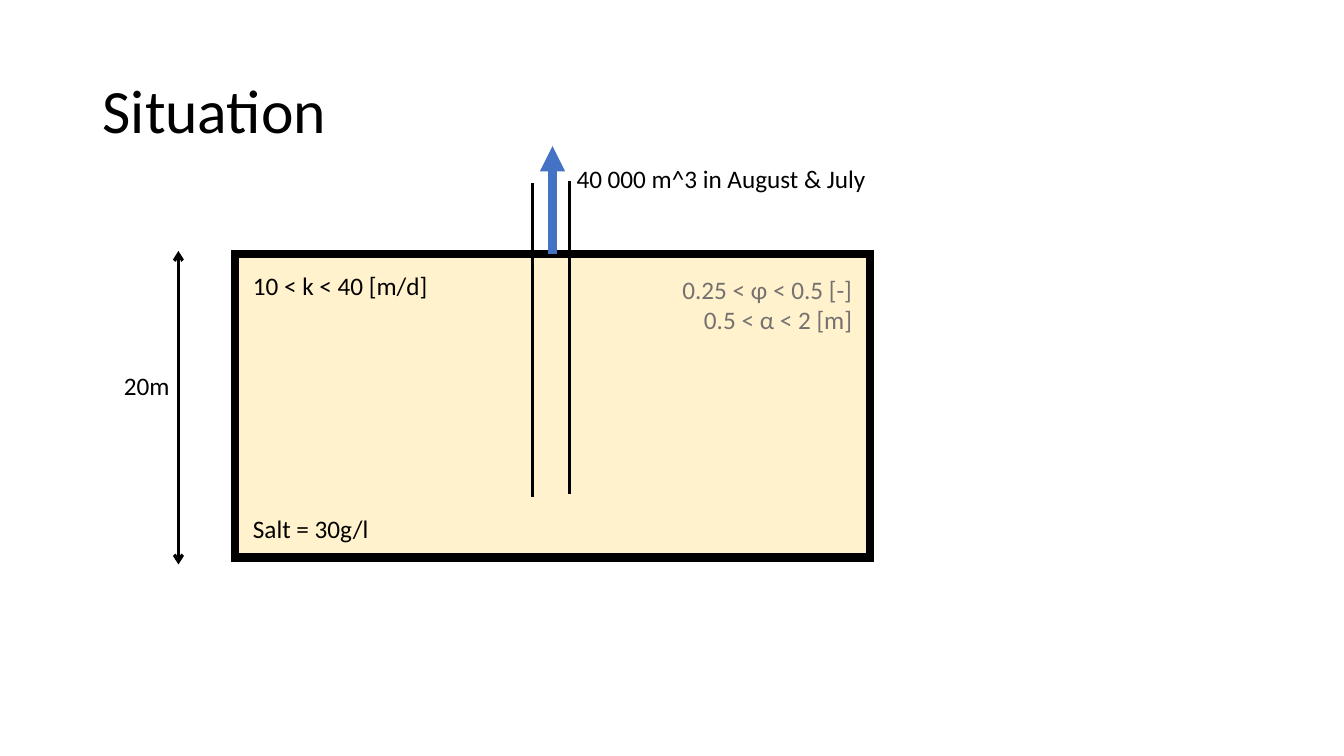
from dataclasses import dataclass

from lxml import etree
from pptx import Presentation
from pptx.dml.color import RGBColor
from pptx.enum.shapes import MSO_CONNECTOR, MSO_SHAPE
from pptx.enum.text import MSO_ANCHOR, MSO_AUTO_SIZE, PP_ALIGN
from pptx.oxml.ns import qn
from pptx.shapes.autoshape import Shape
from pptx.shapes.connector import Connector
from pptx.slide import Slide
from pptx.util import Inches, Pt

RECTANGLE = MSO_SHAPE.RECTANGLE
STRAIGHT = MSO_CONNECTOR.STRAIGHT
TOP, MIDDLE = MSO_ANCHOR.TOP, MSO_ANCHOR.MIDDLE
GROW, FIXED = MSO_AUTO_SIZE.SHAPE_TO_FIT_TEXT, MSO_AUTO_SIZE.NONE
LEFT, RIGHT = PP_ALIGN.LEFT, PP_ALIGN.RIGHT
TOP_SITE = 0
FONT = "Calibri"
COLORS = {
    "ink": "000000",
    "sand": "FFF2CC",
    "water": "4472C4",
    "muted": "767171",
}


@dataclass(frozen=True)
class Label:
    lines: tuple[str, ...]
    left: float
    top: float
    width: float
    height: float = 0.4
    size: int = 18
    color: str = "ink"
    align: PP_ALIGN = LEFT
    anchor: MSO_ANCHOR = TOP
    fit: MSO_AUTO_SIZE = GROW
    spacing: float = 1.0


@dataclass(frozen=True)
class Line:
    start: tuple[float, float]
    end: tuple[float, float]
    color: str = "ink"
    weight: float = 2.25
    head: str = ""
    tail: str = ""


LABELS = (
    Label(("Situation",), 0.92, 0.4, 11.5, 1.45, size=44, anchor=MIDDLE, fit=FIXED, spacing=0.9),
    Label(("20m",), 1.13, 3.62, 0.84),
    Label(("10 < k < 40 [m/d]",), 2.41, 2.63, 2.2),
    Label(("Salt = 30g/l",), 2.41, 5.04, 1.92),
    Label(("40 000 m^3 in August & July",), 5.62, 1.57, 3.57),
    Label(("0.25 < φ < 0.5 [-]", "0.5 < α < 2 [m]"), 6.63, 2.67, 1.92, 0.71,
          color="muted", align=RIGHT),
)
DEPTH_ARROW = Line((1.77, 2.49), (1.77, 5.6), head="arrow", tail="arrow")
PUMP_ARROW = Line((5.48, 2.52), (5.48, 1.45), color="water", weight=6, tail="triangle")
WELL_WALLS = (
    Line((5.28, 1.82), (5.28, 4.93)),
    Line((5.65, 1.8), (5.65, 4.9)),
)


def rgb(name: str) -> RGBColor:
    return RGBColor.from_string(COLORS[name])


def add_aquifer(page: Slide) -> Shape:
    box = page.shapes.add_shape(RECTANGLE, Inches(2.33), Inches(2.52), Inches(6.3), Inches(3.01))
    box.shadow.inherit = False
    box.fill.solid()
    box.fill.fore_color.rgb = rgb("sand")
    box.line.color.rgb = rgb("ink")
    box.line.width = Pt(6)
    outline = box.line._get_or_add_ln()
    etree.SubElement(outline, qn("a:miter"), lim="800000")
    return box


def add_line(page: Slide, line: Line) -> Connector:
    points = [Inches(value) for value in (*line.start, *line.end)]
    connector = page.shapes.add_connector(STRAIGHT, *points)
    connector.line.color.rgb = rgb(line.color)
    connector.line.width = Pt(line.weight)
    outline = connector.line._get_or_add_ln()
    for tag, kind in (("a:headEnd", line.head), ("a:tailEnd", line.tail)):
        if kind:
            etree.SubElement(outline, qn(tag), type=kind)
    etree.SubElement(connector._element.spPr, qn("a:effectLst"))
    return connector


def add_label(page: Slide, label: Label) -> None:
    box = page.shapes.add_textbox(
        Inches(label.left), Inches(label.top), Inches(label.width), Inches(label.height)
    )
    frame = box.text_frame
    frame.word_wrap = True
    frame.auto_size = label.fit
    frame.vertical_anchor = label.anchor
    for index, text in enumerate(label.lines):
        para = frame.add_paragraph() if index else frame.paragraphs[0]
        para.alignment = label.align
        para.line_spacing = label.spacing
        span = para.add_run()
        span.text = text
        span.font.name = FONT
        span.font.size = Pt(label.size)
        span.font.color.rgb = rgb(label.color)


def main() -> None:
    deck = Presentation()
    deck.slide_width = Inches(13.33)
    deck.slide_height = Inches(7.5)
    page = deck.slides.add_slide(deck.slide_layouts[6])
    aquifer = add_aquifer(page)
    add_line(page, DEPTH_ARROW)
    add_line(page, PUMP_ARROW).begin_connect(aquifer, TOP_SITE)
    for wall in WELL_WALLS:
        add_line(page, wall)
    for label in LABELS:
        add_label(page, label)
    deck.save("out.pptx")


if __name__ == "__main__":
    main()
